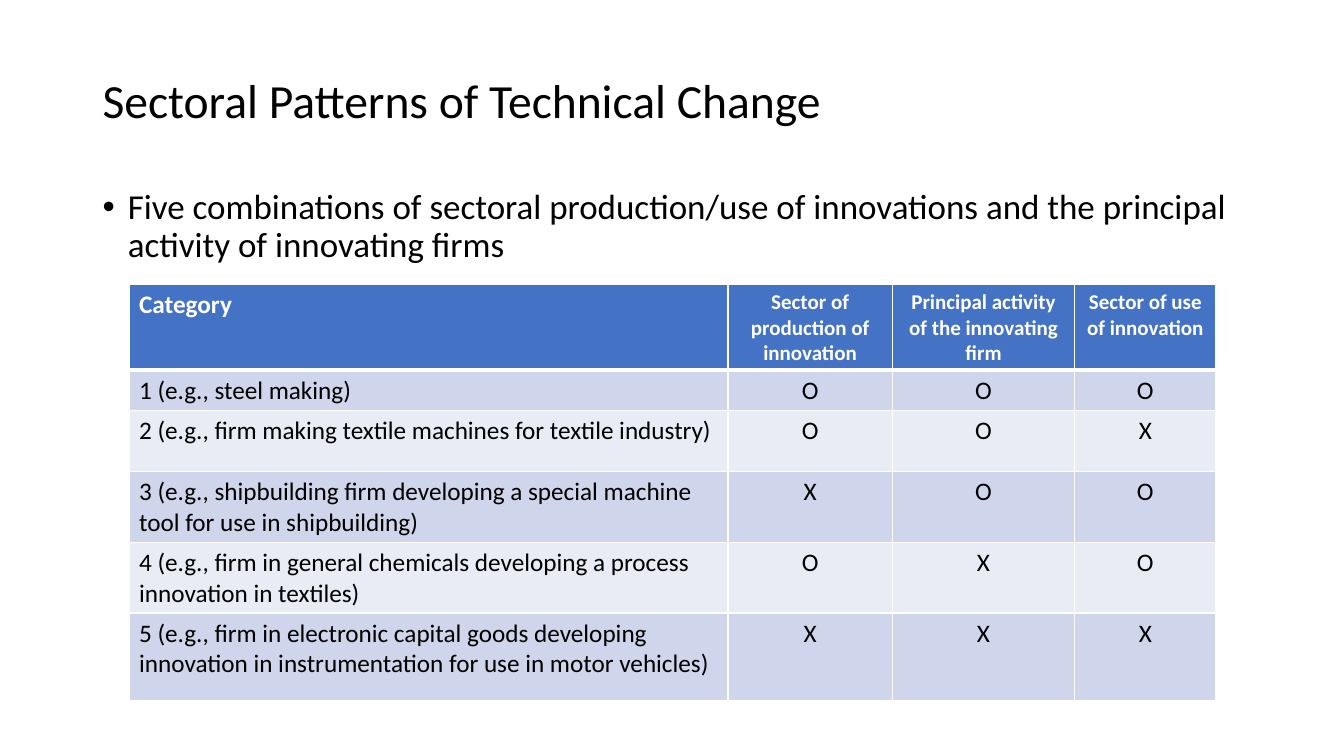
from lxml import etree
from pptx import Presentation
from pptx import util as u
from pptx.dml.color import RGBColor
from pptx.enum import text
from pptx.oxml import ns

FONT = "Calibri"
COLORS = {
    "text": "000000",
    "white": "FFFFFF",
    "header": "4472C4",
    "odd_row": "CFD5EA",
    "even_row": "E9EBF5",
}
COLUMN_WIDTHS = [5.94, 1.63, 1.81, 1.4]
ROW_HEIGHTS = [0.79, 0.35, 0.61, 0.61, 0.61, 0.87]
ROWS = [
    ["Category", "Sector of production of innovation",
     "Principal activity of the innovating firm", "Sector of use of innovation"],
    ["1 (e.g., steel making)", "O", "O", "O"],
    ["2 (e.g., firm making textile machines for textile industry)", "O", "O", "X"],
    ["3 (e.g., shipbuilding firm developing a special machine tool for use in shipbuilding)",
     "X", "O", "O"],
    ["4 (e.g., firm in general chemicals developing a process innovation in textiles)",
     "O", "X", "O"],
    ["5 (e.g., firm in electronic capital goods developing innovation in instrumentation "
     "for use in motor vehicles)", "X", "X", "X"],
]


def rgb(name):
    return RGBColor.from_string(COLORS[name])


def format_runs(paragraph, size, color="text", bold=False):
    for run in paragraph.runs:
        run.font.name = FONT
        run.font.size = u.Pt(size)
        run.font.bold = bold
        run.font.color.rgb = rgb(color)


def add_text(slide, box, words, size, anchor):
    shape = slide.shapes.add_textbox(*[u.Inches(length) for length in box])
    frame = shape.text_frame
    frame.word_wrap = True
    frame.vertical_anchor = anchor
    frame.text = words
    paragraph = frame.paragraphs[0]
    paragraph.line_spacing = 0.9
    format_runs(paragraph, size)
    return paragraph


def add_bullet(paragraph, indent):
    paragraph.space_before = u.Pt(10)
    properties = paragraph._p.get_or_add_pPr()
    properties.set("marL", str(u.Inches(indent)))
    properties.set("indent", str(-u.Inches(indent)))
    etree.SubElement(properties, ns.qn("a:buFont"), typeface="Arial")
    etree.SubElement(properties, ns.qn("a:buChar"), char="•")


def set_borders(cell, widths):
    properties = cell._tc.get_or_add_tcPr()
    for side, width in widths.items():
        line = etree.SubElement(properties, ns.qn("a:ln" + side), w=str(u.Pt(width)))
        fill = etree.SubElement(line, ns.qn("a:solidFill"))
        etree.SubElement(fill, ns.qn("a:srgbClr"), val=COLORS["white"])


def fill_cell(cell, words, row, column):
    is_header = row == 0
    # Borders come before the fill in the cell properties
    set_borders(cell, {"L": 1, "R": 1, "T": 3 if row == 1 else 1, "B": 3 if is_header else 1})
    cell.fill.solid()
    cell.fill.fore_color.rgb = rgb("header" if is_header else "odd_row" if row % 2 else "even_row")
    cell.text_frame.text = words
    paragraph = cell.text_frame.paragraphs[0]
    if column > 0:
        paragraph.alignment = text.PP_ALIGN.CENTER
    size = 15 if is_header and column > 0 else 18
    format_runs(paragraph, size, "white" if is_header else "text", is_header)


def add_category_table(slide, left, top):
    frame = slide.shapes.add_table(
        len(ROWS), len(COLUMN_WIDTHS), u.Inches(left), u.Inches(top),
        u.Inches(sum(COLUMN_WIDTHS)), u.Inches(sum(ROW_HEIGHTS)))
    table = frame.table
    for column, width in zip(table.columns, COLUMN_WIDTHS):
        column.width = u.Inches(width)
    for row, height in zip(table.rows, ROW_HEIGHTS):
        row.height = u.Inches(height)
    for row, entries in enumerate(ROWS):
        for column, words in enumerate(entries):
            fill_cell(table.cell(row, column), words, row, column)


def main():
    presentation = Presentation()
    presentation.slide_width = u.Inches(13.33)
    presentation.slide_height = u.Inches(7.5)
    slide = presentation.slides.add_slide(presentation.slide_layouts[6])

    # Title
    add_text(slide, (0.92, 0.4, 11.5, 1.24), "Sectoral Patterns of Technical Change",
             34, text.MSO_ANCHOR.MIDDLE)

    # Lead-in bullet
    lead_in = add_text(
        slide, (0.92, 1.83, 11.5, 4.92),
        "Five combinations of sectoral production/use of innovations and the principal "
        "activity of innovating firms", 25, text.MSO_ANCHOR.TOP)
    add_bullet(lead_in, 0.25)

    # Table of the five categories
    add_category_table(slide, 1.28, 2.82)

    presentation.save("out.pptx")


if __name__ == "__main__":
    main()
